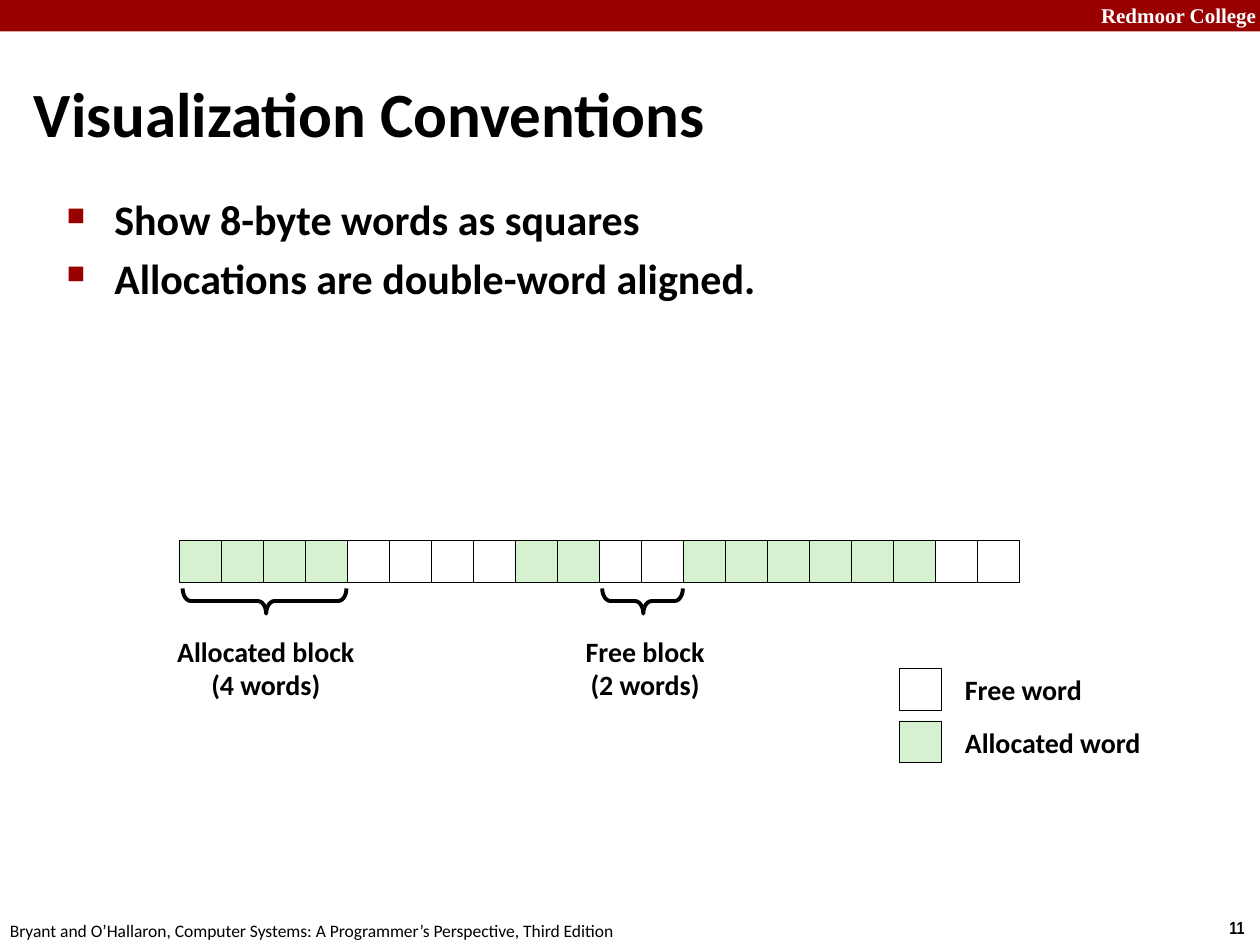
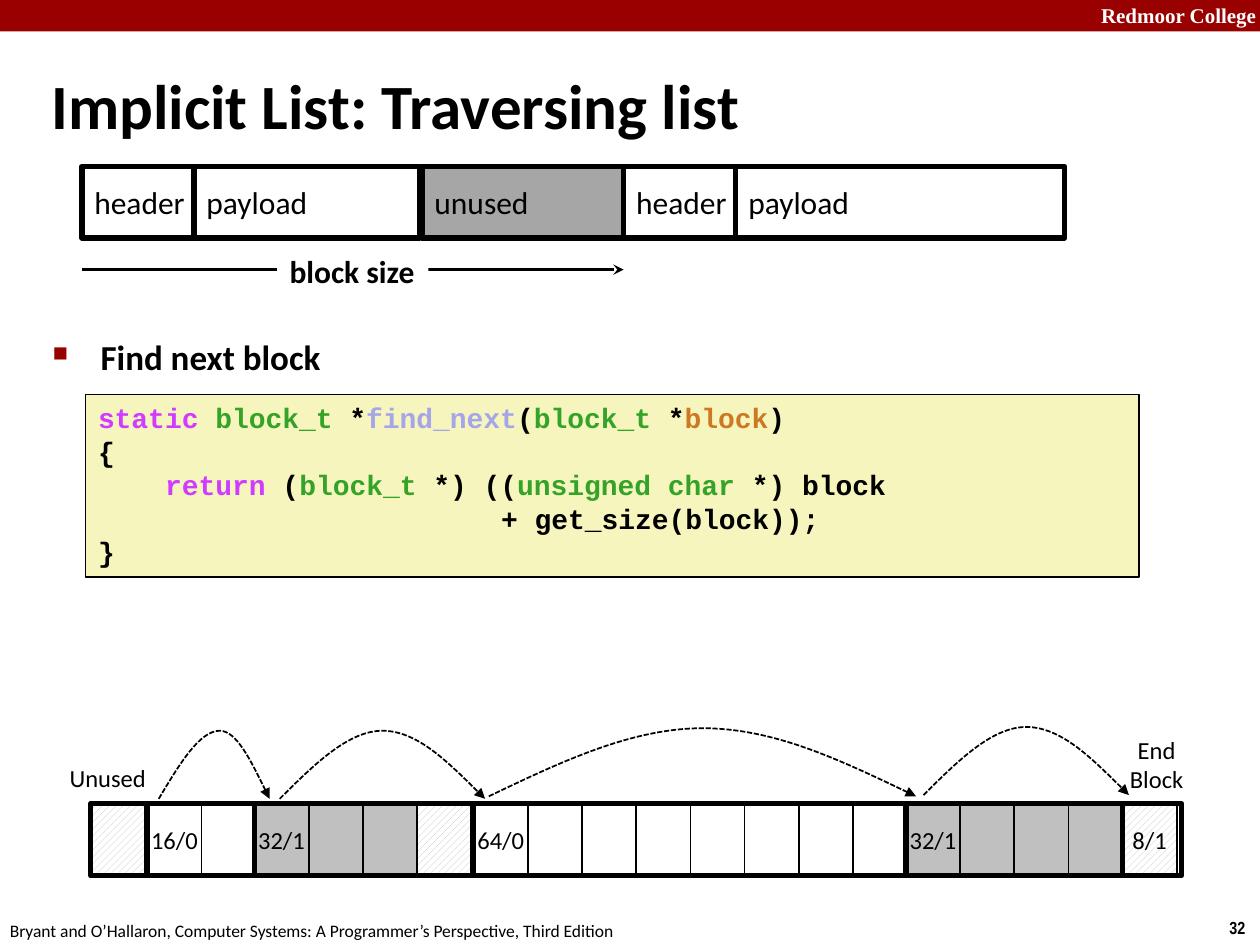
from dataclasses import dataclass

from lxml import etree
from pptx import Presentation
from pptx.dml.color import RGBColor
from pptx.enum.dml import MSO_LINE, MSO_PATTERN
from pptx.enum.shapes import MSO_CONNECTOR, MSO_SHAPE
from pptx.enum.text import MSO_ANCHOR, PP_ALIGN
from pptx.oxml.ns import qn
from pptx.util import Inches, Pt

RECT, BRACE = MSO_SHAPE.RECTANGLE, MSO_SHAPE.LEFT_BRACE
STRAIGHT = MSO_CONNECTOR.STRAIGHT
DASHED = MSO_LINE.SQUARE_DOT
HATCH = MSO_PATTERN.WIDE_UPWARD_DIAGONAL
TOP, MIDDLE = MSO_ANCHOR.TOP, MSO_ANCHOR.MIDDLE
LEFT, CENTER = PP_ALIGN.LEFT, PP_ALIGN.CENTER


@dataclass(frozen=True)
class Theme:
    font: str = "Calibri"
    code_font: str = "Courier New"
    band_font: str = "Times New Roman"
    number_font: str = "Arial Narrow"
    red: str = "990000"
    black: str = "000000"
    white: str = "FFFFFF"
    green: str = "D5F1CF"
    gray: str = "C0C0C0"
    dark_gray: str = "A6A6A6"
    code_fill: str = "F6F5BD"
    keyword: str = "D03BFF"
    type_name: str = "34A327"
    function: str = "A5A5E9"
    parameter: str = "CD7923"
    title: int = 36
    body: int = 24
    small_body: int = 20
    field: int = 18
    label: int = 16
    cell: int = 14
    band: int = 12
    footer: int = 10
    thin: float = 0.25
    line: float = 1
    arrow: float = 2
    brace: float = 2.25
    heavy: float = 3


T = Theme()

WORDS = "AAAAFFFFAAFFAAAAAAFF"  # A allocated, F free
WORD_SIZE = 1 / 3

CODE_CHAR = 0.6 * T.label / 72
CODE = [  # indent in characters, then coloured runs
    (0, [("static ", T.keyword), ("block_t", T.type_name), (" *", T.black),
         ("find_next", T.function), ("(", T.black), ("block_t", T.type_name),
         (" *", T.black), ("block", T.parameter), (")", T.black)]),
    (0, [("{", T.black)]),
    (4, [("return", T.keyword), (" (", T.black), ("block_t", T.type_name),
         (" *) ((", T.black), ("unsigned char", T.type_name),
         (" *) block", T.black)]),
    (24, [("+ get_size(block));", T.black)]),
    (0, [("}", T.black)]),
]

FIELDS = [  # left, width, text, fill
    (0.65, 0.89, "header", None),
    (1.54, 1.79, "payload", None),
    (4.95, 0.89, "header", None),
    (5.84, 2.61, "payload", None),
    (3.35, 1.6, "unused", T.dark_gray),
]

HEAP_TOP, HEAP_HEIGHT, HEAP_CELL = 6.38, 0.57, 0.43
HEAP = [  # left, width, cells (F free, A allocated, H hatched), label
    (0.72, 0.45, "H", ""),
    (1.17, 0.85, "FF", "16/0"),
    (2.02, 1.74, "AAAH", "32/1"),
    (3.76, 3.43, "FFFFFFFF", "64/0"),
    (7.19, 1.73, "AAAA", "32/1"),
    (8.91, 0.47, "H", "8/1"),
]
HOPS = [  # left, top, width, place of the peak
    (1.26, 5.8, 0.88, 0.55),
    (2.22, 5.8, 1.63, 0.5),
    (3.88, 5.78, 3.39, 0.5),
    (7.33, 5.77, 1.63, 0.5),
]
HOP_HEIGHT = 0.54


def rgb(color):
    return RGBColor.from_string(color)


def add_run(p, text, size, color=T.black, bold=False, font=T.font):
    r = p.add_run()
    r.text = text
    r.font.size, r.font.bold, r.font.name = Pt(size), bold, font
    r.font.color.rgb = rgb(color)


def set_indent(p, left, first=0):
    pPr = p._p.get_or_add_pPr()
    pPr.set("marL", str(Inches(left)))
    pPr.set("indent", str(Inches(first)))


def paragraphs(tf, count):
    return [tf.paragraphs[0]] + [tf.add_paragraph() for _ in range(count - 1)]


def set_frame(sp, anchor=TOP, wrap=False):
    tf = sp.text_frame
    tf.word_wrap, tf.vertical_anchor = wrap, anchor
    return tf


def write(sp, text, size, align=LEFT, anchor=TOP, wrap=False, spacing=None, **style):
    """Fill a shape with text, one paragraph for each line."""
    lines = text.split("\n")
    tf = set_frame(sp, anchor, wrap)
    for p, line in zip(paragraphs(tf, len(lines)), lines):
        p.alignment = align
        if spacing:
            p.line_spacing = spacing
        add_run(p, line, size, **style)


def add_box(slide, at):
    return slide.shapes.add_textbox(*map(Inches, at))


def add_label(slide, at, text, size, **style):
    write(add_box(slide, at), text, size, **style)


def set_line(line, width, color=T.black):
    line.color.rgb = rgb(color)
    line.width = Pt(width)


def add_tail(line, kind):
    etree.SubElement(line._get_or_add_ln(), qn("a:tailEnd"), type=kind)


def add_shape(slide, at, fill=None, width=None, kind=RECT):
    sp = slide.shapes.add_shape(kind, *map(Inches, at))
    sp.shadow.inherit = False
    if fill:
        sp.fill.solid()
        sp.fill.fore_color.rgb = rgb(fill)
    else:
        sp.fill.background()
    if width:
        set_line(sp.line, width)
    else:
        sp.line.fill.background()
    return sp


def add_arrow(slide, x1, y1, x2, y2):
    c = slide.shapes.add_connector(STRAIGHT, *map(Inches, (x1, y1, x2, y2)))
    set_line(c.line, T.arrow)
    add_tail(c.line, "stealth")
    etree.SubElement(c._element.spPr, qn("a:effectLst"))


def add_brace(slide, left, top, length):
    """Place a brace that opens upwards over the given length."""
    depth = 0.2
    at = (left + (length - depth) / 2, top - (length - depth) / 2, depth, length)
    sp = add_shape(slide, at, width=T.brace, kind=BRACE)
    sp.rotation = 270
    sp.adjustments[0], sp.adjustments[1] = 0.33, 0.51


def add_hop(slide, left, top, width, peak):
    """Draw a dashed arch of two cubic curves that meet at the peak."""
    xs = [peak * i / 3 for i in range(3)]
    xs += [peak + (1 - peak) * i / 3 for i in range(4)]
    ys = [1, 0.5, 0, 0, 0, 0.5, 1]
    points = [(Inches(left + x * width), Inches(top + y * HOP_HEIGHT))
              for x, y in zip(xs, ys)]
    builder = slide.shapes.build_freeform(*points[0])
    builder.add_line_segments(points[1:], close=False)
    sp = builder.convert_to_shape()
    segments = list(sp._element.iter(qn("a:lnTo")))
    outline = segments[0].getparent()
    for start in (0, 3):
        curve = etree.SubElement(outline, qn("a:cubicBezTo"))
        for segment in segments[start:start + 3]:
            curve.append(segment[0])
            outline.remove(segment)
    sp.shadow.inherit = False
    sp.fill.background()
    set_line(sp.line, T.line)
    sp.line.dash_style = DASHED
    add_tail(sp.line, "triangle")


def add_bullets(slide, at, lines, size, before, spacing=1.0):
    tf = set_frame(add_box(slide, at), wrap=True)
    for p, line in zip(paragraphs(tf, len(lines)), lines):
        p.line_spacing, p.space_before = spacing, Pt(before)
        set_indent(p, 0.38, -0.38)
        pPr = p._p.get_or_add_pPr()
        color = etree.SubElement(pPr, qn("a:buClr"))
        etree.SubElement(color, qn("a:srgbClr"), val=T.red)
        etree.SubElement(pPr, qn("a:buSzPct"), val="60000")
        etree.SubElement(pPr, qn("a:buChar"), char="■")
        add_run(p, line, size, bold=True)


def add_code(slide, at):
    tf = set_frame(add_shape(slide, at, T.code_fill, T.line), wrap=True)
    for p, (indent, runs) in zip(paragraphs(tf, len(CODE)), CODE):
        p.alignment = LEFT
        set_indent(p, indent * CODE_CHAR)
        for text, color in runs:
            add_run(p, text, T.label, color, True, T.code_font)


def add_heap_block(slide, left, width, cells, label):
    fills = {"F": T.white, "A": T.gray, "H": T.white}
    for i, cell in enumerate(cells):
        at = (left + i * HEAP_CELL, HEAP_TOP, HEAP_CELL, HEAP_HEIGHT)
        sp = add_shape(slide, at, fills[cell], T.line)
        if cell == "H":
            sp.fill.patterned()
            sp.fill.pattern = HATCH
            sp.fill.fore_color.rgb = rgb(T.gray)
            sp.fill.back_color.rgb = rgb(T.white)
        if i == 0 and label:
            write(sp, label, T.cell, CENTER, MIDDLE)
    add_shape(slide, (left, HEAP_TOP, width, HEAP_HEIGHT), width=T.heavy)


def new_slide(prs, number, title, title_at):
    slide = prs.slides.add_slide(prs.slide_layouts[6])
    add_shape(slide, (0, 0, 10, 0.25), T.red)
    add_label(slide, (8.64, -0.03, 1.43, 0.3), "Redmoor College", T.band,
              color=T.white, bold=True, font=T.band_font)
    add_label(slide, (9.66, 7.23, 0.34, 0.27), number, T.footer,
              bold=True, font=T.number_font)
    add_label(slide, (-0.02, 7.25, 5.08, 0.27),
              "Bryant and O’Hallaron, Computer Systems: "
              "A Programmer’s Perspective, Third Edition", T.footer)
    add_label(slide, title_at, title, T.title, anchor=MIDDLE, wrap=True, bold=True)
    return slide


def build_conventions(prs):
    slide = new_slide(prs, "11", "Visualization Conventions", (0.17, 0.48, 9.83, 0.83))
    add_bullets(slide, (0.43, 1.49, 8.64, 5.44),
                ["Show 8-byte words as squares", "Allocations are double-word aligned."],
                T.body, before=4.8)
    fills = {"A": T.green, "F": T.white}
    for i, word in enumerate(WORDS):
        at = (1.42 + i * WORD_SIZE, 4.29, WORD_SIZE, WORD_SIZE)
        add_shape(slide, at, fills[word], T.thin)
    for at, text in (((1.3, 5, 1.62, 0.63), "Allocated block\n(4 words)"),
                     ((4.52, 5, 1.2, 0.63), "Free block\n(2 words)")):
        add_label(slide, at, text, T.label, align=CENTER, spacing=0.98, bold=True)
    for top, width, text, fill in ((5.3, 1.14, "Free word", T.white),
                                   (5.72, 1.61, "Allocated word", T.green)):
        add_shape(slide, (7.14, top, WORD_SIZE, WORD_SIZE), fill, T.thin)
        add_label(slide, (7.56, top, width, 0.37), text, T.label,
                  spacing=0.98, bold=True)
    add_brace(slide, 1.45, 4.67, 1.3)
    add_brace(slide, 4.78, 4.67, 0.64)


def build_traversal(prs):
    slide = new_slide(prs, "32", "Implicit List: Traversing list",
                      (0.31, 0.51, 8.75, 0.63))
    add_bullets(slide, (0.32, 2.67, 9.09, 4.63), ["Find next block"],
                T.small_body, before=12.5, spacing=0.83)
    add_code(slide, (0.68, 3.13, 8.36, 1.45))
    for left, width, text, fill in FIELDS:
        sp = add_shape(slide, (left, 1.32, width, 0.57), fill, T.heavy)
        write(sp, text, T.field, anchor=MIDDLE)
    add_arrow(slide, 0.65, 2.14, 4.95, 2.14)
    write(add_shape(slide, (2.2, 1.95, 1.2, 0.4), T.white), "block size",
          T.field, bold=True)
    for block in HEAP:
        add_heap_block(slide, *block)
    for hop in HOPS:
        add_hop(slide, *hop)
    for at, text in (((0.45, 6, 0.81, 0.34), "Unused"),
                     ((8.86, 5.78, 0.64, 0.57), "End\nBlock")):
        add_label(slide, at, text, T.cell, align=CENTER, anchor=MIDDLE)


def main():
    prs = Presentation()
    prs.slide_width, prs.slide_height = Inches(10), Inches(7.5)
    build_conventions(prs)
    build_traversal(prs)
    prs.save("out.pptx")


if __name__ == "__main__":
    main()
